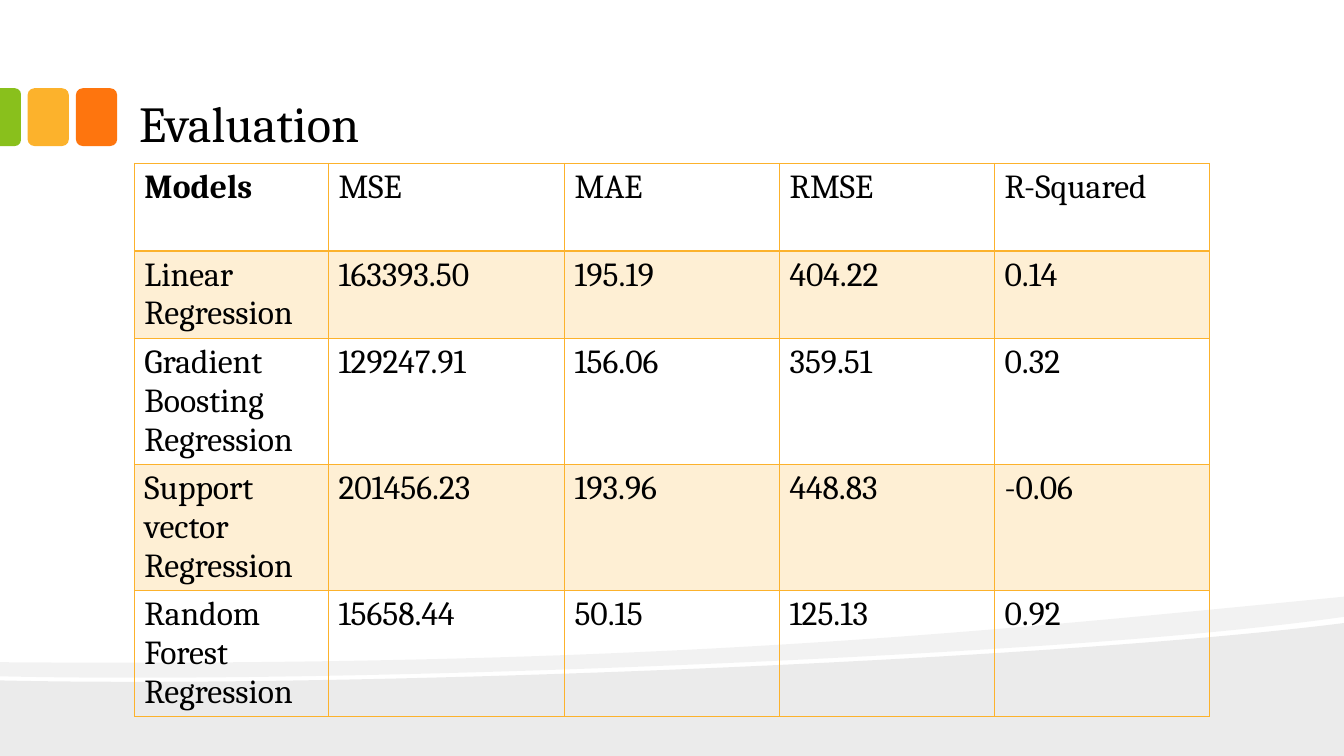
from lxml.etree import SubElement
from pptx import Presentation
from pptx.dml.color import RGBColor
from pptx.enum.shapes import MSO_SHAPE as Shape
from pptx.enum.text import MSO_ANCHOR as Anchor
from pptx.oxml.ns import qn
from pptx.util import Pt

BLACK = RGBColor(0x00, 0x00, 0x00)
ORANGE = RGBColor(0xFE, 0x75, 0x0E)
AMBER = RGBColor(0xFC, 0xB2, 0x2C)
GREEN = RGBColor(0x89, 0xC0, 0x1C)
FONT = "Cambria"

TITLE = "Evaluation"
RESULTS = [
    ("Models", "MSE", "MAE", "RMSE", "R-Squared"),
    ("Linear Regression", "163393.50", "195.19", "404.22", "0.14"),
    ("Gradient Boosting\nRegression", "129247.91", "156.06", "359.51", "0.32"),
    ("Support vector Regression", "201456.23", "193.96", "448.83", "-0.06"),
    ("Random\nForest\nRegression", "15658.44", "50.15", "125.13", "0.92"),
]
COLUMN_WIDTHS = [138.6, 168.6, 153.6, 153.6, 153.6]
ROW_HEIGHTS = [62.5, 62.5, 90, 90, 90]

WIDTH, HEIGHT = 960, 540
# Each wave: opacity in percent, start, then steps of one point (line) or three (curve)
WAVES = [
    (8, (WIDTH, 445), [
        [(WIDTH, HEIGHT)],
        [(0, HEIGHT)],
        [(0, 486)],
        [(253.4, 491.8), (750.2, 471.6), (WIDTH, 445)]]),
    (5, (WIDTH, 426.2), [
        [(WIDTH, 440.6)],
        [(903.6, 448.6), (827.3, 455.8), (740.9, 461.5)],
        [(502.6, 477.4), (185.8, 487.4), (0, 483.1)],
        [(0, 473)],
        [(469.4, 476.6), (699.1, 451.4), (WIDTH, 426.2)]]),
]
TAB_TOP, TAB_WIDTH, TAB_HEIGHT = 63, 29.5, 41.3
ROUND_TABS = [(54.2, ORANGE), (19.7, AMBER)]
EDGE_TAB_WIDTH = 15


def set_format(target, values):
    for name, value in values.items():
        setattr(target, name, value)


def set_alpha(fill, percent):
    """Make a solid fill partly transparent."""
    color = fill._xPr.find(qn("a:solidFill"))[0]
    SubElement(color, qn("a:alpha"), val=str(percent * 1000))


def paint(shape, color):
    shape.shadow.inherit = False
    shape.fill.solid()
    shape.fill.fore_color.rgb = color
    shape.line.fill.background()


def add_wave(page, opacity, start, steps):
    """Draw straight segments, then join each step of three into one Bézier curve."""
    builder = page.shapes.build_freeform(*map(Pt, start))
    builder.add_line_segments([(Pt(x), Pt(y)) for step in steps for x, y in step],
                              close=True)
    wave = builder.convert_to_shape()
    segments = iter(list(wave._element.iter(qn("a:lnTo"))))
    for step in steps:
        first, *others = [next(segments) for _ in step]
        if others:
            first.tag = qn("a:cubicBezTo")
        for segment in others:
            first.append(segment[0])
            segment.getparent().remove(segment)
    paint(wave, BLACK)
    set_alpha(wave.fill, opacity)


def add_tabs(page):
    for left, color in ROUND_TABS:
        tab = page.shapes.add_shape(Shape.ROUNDED_RECTANGLE, Pt(left), Pt(TAB_TOP),
                                    Pt(TAB_WIDTH), Pt(TAB_HEIGHT))
        paint(tab, color)
    # Turned a quarter, so its rounded top faces right
    shift = (TAB_HEIGHT - EDGE_TAB_WIDTH) / 2
    edge = page.shapes.add_shape(Shape.ROUND_2_SAME_RECTANGLE, Pt(-shift),
                                 Pt(TAB_TOP + shift), Pt(TAB_HEIGHT),
                                 Pt(EDGE_TAB_WIDTH))
    edge.rotation = 90
    edge.adjustments[0] = 0.29
    paint(edge, GREEN)


def write(frame, text, size, bold=False):
    frame.text = text
    for para in frame.paragraphs:
        for span in para.runs:
            set_format(span.font, {"name": FONT, "size": Pt(size), "bold": bold})
            span.font.color.rgb = BLACK


def add_title(page):
    box = page.shapes.add_textbox(Pt(90), Pt(11.8), Pt(767.5), Pt(102.2))
    set_format(box.text_frame, {
        "word_wrap": True, "vertical_anchor": Anchor.BOTTOM,
        "margin_left": Pt(9.4), "margin_right": Pt(9.4),
        "margin_top": Pt(5), "margin_bottom": Pt(5)})
    write(box.text_frame, TITLE, 36)


def add_borders(cell, bottom_width):
    """Put the four border lines ahead of the cell's fill, as the schema asks."""
    properties = cell._tc.get_or_add_tcPr()
    widths = {"a:lnL": 1, "a:lnR": 1, "a:lnT": 1, "a:lnB": bottom_width}
    for index, (tag, width) in enumerate(widths.items()):
        line = SubElement(properties, qn(tag), w=str(Pt(width)))
        SubElement(SubElement(line, qn("a:solidFill")), qn("a:srgbClr"), val=str(AMBER))
        properties.insert(index, line)


def add_results(page):
    frame = page.shapes.add_table(len(RESULTS), len(COLUMN_WIDTHS), Pt(96), Pt(116.8),
                                  Pt(sum(COLUMN_WIDTHS)), Pt(sum(ROW_HEIGHTS)))
    table = frame.table
    set_format(table, {"first_row": False, "horz_banding": False})
    for column, width in zip(table.columns, COLUMN_WIDTHS):
        column.width = Pt(width)
    for row, height in zip(table.rows, ROW_HEIGHTS):
        row.height = Pt(height)
    for r, values in enumerate(RESULTS):
        for c, value in enumerate(values):
            cell = table.cell(r, c)
            cell.margin_bottom = Pt(0)
            write(cell.text_frame, value, 24, bold=r == c == 0)
            if r % 2:
                cell.fill.solid()
                cell.fill.fore_color.rgb = AMBER
                set_alpha(cell.fill, 20)
            else:
                cell.fill.background()
            add_borders(cell, 2 if r == 0 else 1)


def main():
    deck = Presentation()
    set_format(deck, {"slide_width": Pt(WIDTH), "slide_height": Pt(HEIGHT)})
    page = deck.slides.add_slide(deck.slide_layouts[6])
    for wave in WAVES:
        add_wave(page, *wave)
    add_tabs(page)
    add_title(page)
    add_results(page)
    deck.save("out.pptx")


if __name__ == "__main__":
    main()
